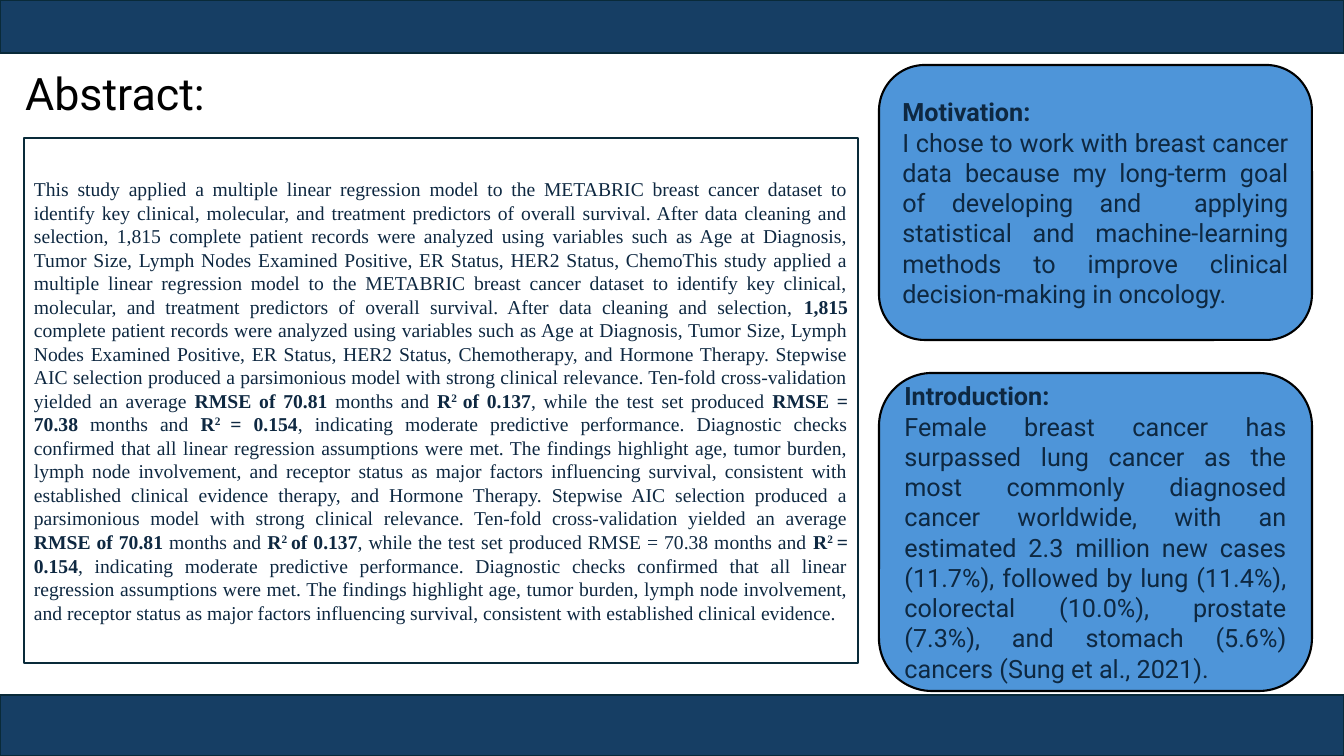
"""Build the abstract slide with its motivation and introduction cards."""
import dataclasses

import pptx
import pptx.dml.color
import pptx.enum.shapes
import pptx.enum.text
import pptx.util

TITLE = "Abstract:"
PURPOSE = (
    "This study applied a multiple linear regression model to the METABRIC breast cancer dataset "
    "to identify key clinical, molecular, and treatment predictors of overall survival. "
    "After data cleaning and selection, "
)
VARIABLES = (
    " complete patient records were analyzed using variables such as Age at Diagnosis, Tumor Size, "
    "Lymph Nodes Examined Positive, ER Status, HER2 Status, Chemo"
)
SELECTION = (
    "therapy, and Hormone Therapy. Stepwise AIC selection produced a parsimonious model with strong "
    "clinical relevance. Ten-fold cross-validation yielded an average "
)
DIAGNOSTICS = (
    ", indicating moderate predictive performance. Diagnostic checks confirmed that all linear "
    "regression assumptions were met. The findings highlight age, tumor burden, lymph node "
    "involvement, and receptor status as major factors influencing survival, consistent with "
    "established clinical evidence"
)
PLAIN, BOLD, SUPERSCRIPT = "plain", "bold", "superscript"
R_SQUARED = [("R", BOLD), ("2 ", SUPERSCRIPT)]
VALIDATION = [("RMSE of 70.81 ", BOLD), ("months and ", PLAIN), *R_SQUARED, ("of 0.137", BOLD)]
TEST_FIT = [*R_SQUARED, ("= 0.154", BOLD)]
ABSTRACT = [
    (PURPOSE + "1,815" + VARIABLES + PURPOSE, PLAIN),
    ("1,815", BOLD),
    (VARIABLES + SELECTION, PLAIN),
    *VALIDATION,
    (", while the test set produced ", PLAIN),
    ("RMSE = 70.38", BOLD),
    (" months and ", PLAIN),
    *TEST_FIT,
    (DIAGNOSTICS + " " + SELECTION, PLAIN),
    *VALIDATION,
    (", while the test set produced RMSE = 70.38 months and ", PLAIN),
    *TEST_FIT,
    (DIAGNOSTICS + ".", PLAIN),
]
CARDS = [
    (
        "Motivation:",
        "I chose to work with breast cancer data because my long-term goal of developing and  applying "
        "statistical and machine-learning methods to improve clinical decision-making in oncology.",
        (879, 65, 433, 275),
    ),
    (
        "Introduction:",
        "Female breast cancer has surpassed lung cancer as the most commonly diagnosed cancer worldwide, "
        "with an estimated 2.3 million new cases (11.7%), followed by lung (11.4%), colorectal (10.0%), "
        "prostate (7.3%), and stomach (5.6%) cancers (Sung et al., 2021).",
        (879, 373, 433, 318),
    ),
]
WIDTH, HEIGHT = 1344, 756
TITLE_BOX = (15, 65, 1237, 61)
ABSTRACT_BOX = (24, 138, 834, 525)
BARS = [(0, 0, WIDTH, 53), (0, 695, WIDTH, 61)]
EMU_PER_PX = 914400 / 100.8


@dataclasses.dataclass(frozen=True)
class Theme:
    navy: str = "163E64"
    edge: str = "092A39"
    ink: str = "0E2841"
    blue: str = "4E95D9"
    black: str = "000000"
    white: str = "FFFFFF"
    sans: str = "Roboto"
    serif: str = "Times New Roman"
    title_size: int = 32
    card_size: int = 18
    abstract_size: int = 14
    line_width: float = 1.5


THEME = Theme()
SHAPES = pptx.enum.shapes.MSO_SHAPE
ALIGN = pptx.enum.text.PP_ALIGN


def px(length):
    return pptx.util.Emu(round(length * EMU_PER_PX))


def rgb(color):
    return pptx.dml.color.RGBColor.from_string(color)


def add_panel(slide, kind, box, fill, line):
    shape = slide.shapes.add_shape(kind, *map(px, box))
    shape.shadow.inherit = False
    shape.fill.solid()
    shape.fill.fore_color.rgb = rgb(fill)
    shape.line.color.rgb = rgb(line)
    shape.line.width = pptx.util.Pt(THEME.line_width)
    return shape


def start_paragraph(shape, alignment):
    frame = shape.text_frame
    frame.word_wrap = True
    frame.auto_size = pptx.enum.text.MSO_AUTO_SIZE.NONE
    frame.vertical_anchor = pptx.enum.text.MSO_ANCHOR.MIDDLE
    paragraph = frame.paragraphs[0]
    paragraph.alignment = alignment
    return paragraph


def add_run(paragraph, text, style, font, size, color):
    run = paragraph.add_run()
    run.text = text
    run.font.name = font
    run.font.size = pptx.util.Pt(size)
    run.font.bold = style != PLAIN
    run.font.color.rgb = rgb(color)
    if style == SUPERSCRIPT:
        run.font._element.set("baseline", "30000")


def add_title(slide):
    title = slide.shapes.title
    title.left, title.top, title.width, title.height = map(px, TITLE_BOX)
    paragraph = start_paragraph(title, ALIGN.LEFT)
    paragraph.line_spacing = 0.9
    add_run(paragraph, TITLE, PLAIN, THEME.sans, THEME.title_size, THEME.black)


def add_abstract(slide):
    panel = add_panel(slide, SHAPES.RECTANGLE, ABSTRACT_BOX, THEME.white, THEME.edge)
    paragraph = start_paragraph(panel, ALIGN.JUSTIFY)
    for text, style in ABSTRACT:
        add_run(paragraph, text, style, THEME.serif, THEME.abstract_size, THEME.ink)


def add_card(slide, heading, body, box):
    card = add_panel(slide, SHAPES.ROUNDED_RECTANGLE, box, THEME.blue, THEME.black)
    paragraph = start_paragraph(card, ALIGN.JUSTIFY)
    add_run(paragraph, heading, BOLD, THEME.sans, THEME.card_size, THEME.ink)
    paragraph.add_line_break()
    add_run(paragraph, body, PLAIN, THEME.sans, THEME.card_size, THEME.ink)


def main():
    presentation = pptx.Presentation()
    presentation.slide_width, presentation.slide_height = px(WIDTH), px(HEIGHT)
    slide = presentation.slides.add_slide(presentation.slide_layouts[5])
    add_title(slide)
    for box in BARS:
        add_panel(slide, SHAPES.RECTANGLE, box, THEME.navy, THEME.edge)
    add_abstract(slide)
    for heading, body, box in CARDS:
        add_card(slide, heading, body, box)
    presentation.save("out.pptx")


if __name__ == "__main__":
    main()
